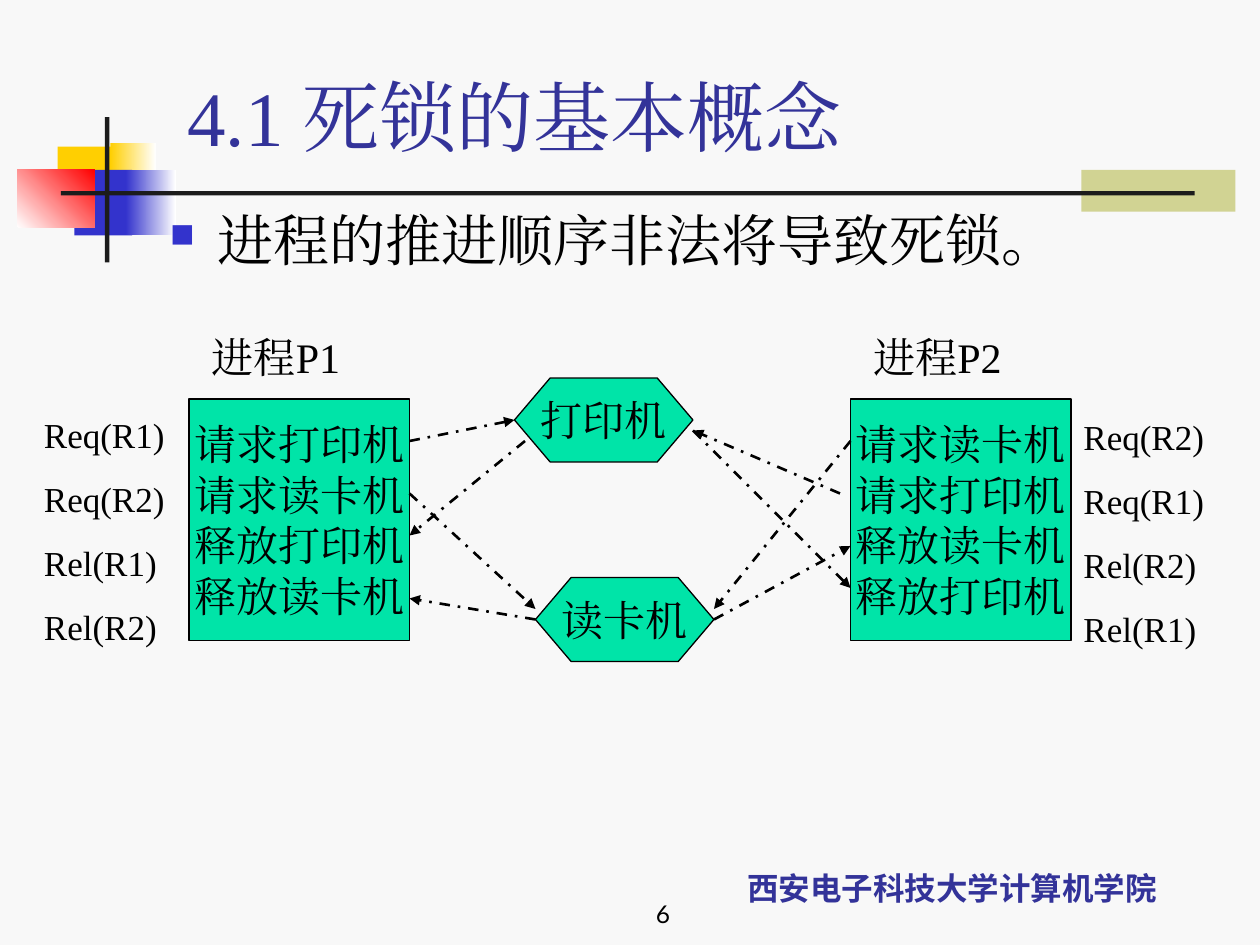
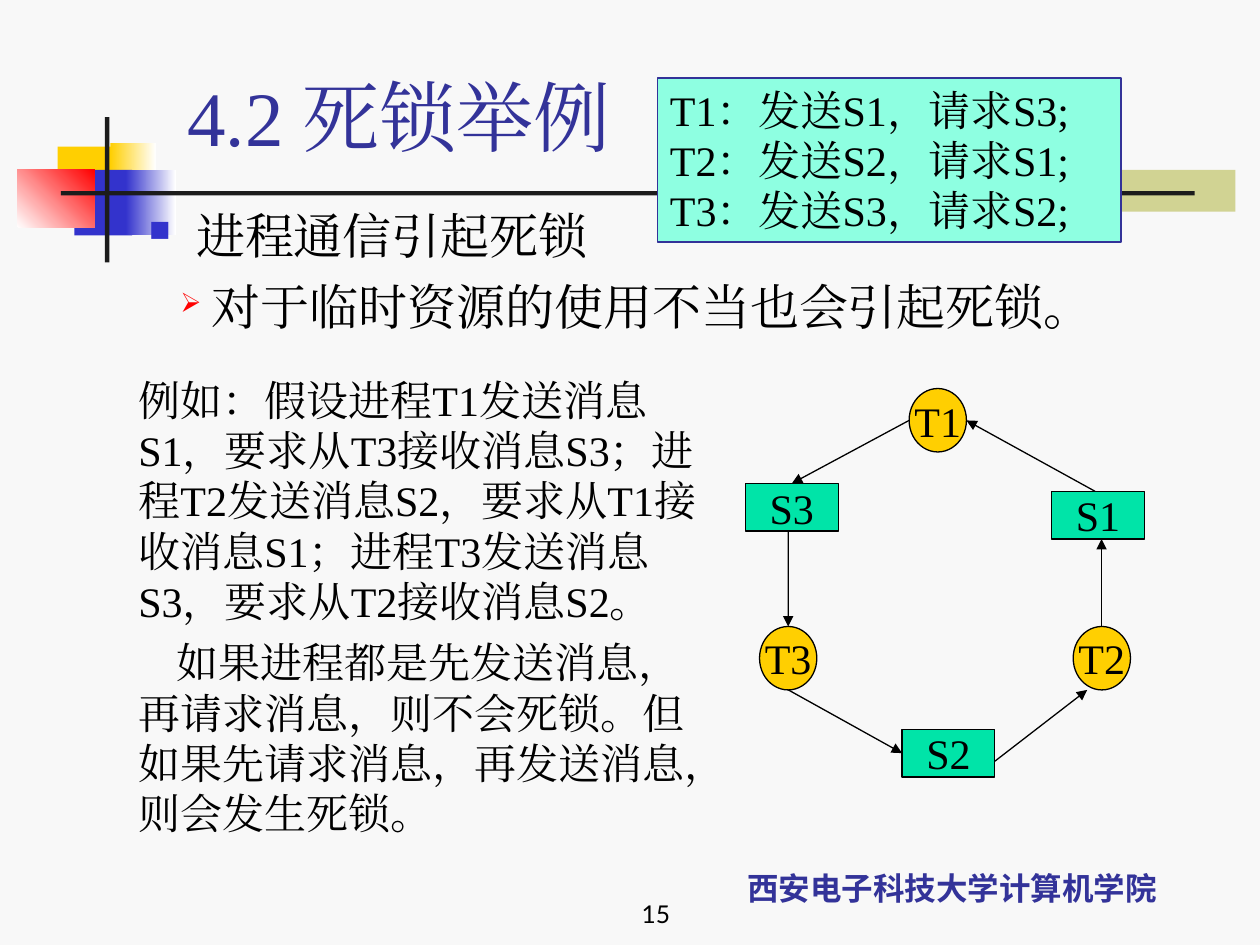
"""Build two lecture slides on deadlock: process order and process communication."""
from dataclasses import dataclass
from typing import Optional

from lxml import etree
from pptx import Presentation
from pptx.dml.color import RGBColor
from pptx.enum.dml import MSO_LINE
from pptx.enum.shapes import MSO_CONNECTOR, MSO_SHAPE
from pptx.enum.text import MSO_ANCHOR, PP_ALIGN
from pptx.oxml.ns import qn
from pptx.util import Pt

RECTANGLE = MSO_SHAPE.RECTANGLE
OVAL = MSO_SHAPE.OVAL
DEVICE = MSO_SHAPE.FLOWCHART_PREPARATION
STRAIGHT = MSO_CONNECTOR.STRAIGHT
DASH_DOT = MSO_LINE.DASH_DOT
TOP, MIDDLE, BOTTOM = MSO_ANCHOR.TOP, MSO_ANCHOR.MIDDLE, MSO_ANCHOR.BOTTOM
LEFT, CENTER, RIGHT = PP_ALIGN.LEFT, PP_ALIGN.CENTER, PP_ALIGN.RIGHT
SIDE_TOP, SIDE_LEFT, SIDE_RIGHT = 0, 1, 3

COLORS = {
    "background": "F8F8F8", "olive": "D1D393", "yellow": "FFCF01",
    "blue": "3333CC", "white": "FFFFFF", "red": "FF0000", "rule": "1C1C1C",
    "navy": "333399", "black": "000000", "green": "00E4A8", "mint": "8EFFE1",
}
SERIF, SANS, CHINESE = "Times New Roman", "Lato", "Noto Sans CJK SC"
LINE_HEIGHT = 1.2

Bounds = tuple[float, float, float, float]
Point = tuple[float, float]


@dataclass(frozen=True)
class Band:
    bounds: Bounds
    color: str
    end_color: Optional[str] = None
    angle: float = 0


@dataclass(frozen=True)
class TextStyle:
    size: float = 24
    font: str = SERIF
    color: str = "black"
    bold: bool = False
    align: PP_ALIGN = LEFT
    anchor: MSO_ANCHOR = TOP
    wrap: bool = True
    gap: float = 0


@dataclass(frozen=True)
class Bullet:
    symbol: str
    color: str
    percent: int
    margin: float
    hanging: float


@dataclass(frozen=True)
class Node:
    name: str
    bounds: Bounds
    lines: tuple[str, ...]
    kind: MSO_SHAPE = RECTANGLE
    fill: str = "green"


@dataclass(frozen=True)
class Arrow:
    start: Point
    end: Point
    start_join: Optional[tuple[str, int]] = None
    end_join: Optional[tuple[str, int]] = None


BANDS = (
    Band((618, 97, 88, 24), "olive"),
    Band((33, 83.75, 34.5, 37.5), "yellow"),
    Band((63, 81.5, 26, 37.5), "yellow", "white"),
    Band((42.5, 97, 33, 37.5), "blue"),
    Band((72, 97, 28.5, 37.5), "blue", "white"),
    Band((9.75, 96.75, 44.25, 33.25), "white", "red", 45),
    Band((60, 67, 2.5, 83), "rule"),
    Band((34.75, 109.25, 648, 2.5), "rule"),
)
TITLE = TextStyle(44, color="navy", anchor=BOTTOM)
FOOTER = TextStyle(18, CHINESE, "navy", True, CENTER, BOTTOM)
PAGE_NUMBER = TextStyle(14, SANS, align=RIGHT, anchor=BOTTOM)
NODE_TEXT = TextStyle(align=CENTER, anchor=MIDDLE, wrap=False)
LABEL = TextStyle()
STEPS = TextStyle(20, gap=12.5)
SQUARE = Bullet("■", "blue", 60, 27, 27)
ARROWHEAD = Bullet("➢", "red", 55, 36, 18)


def rgb(name: str) -> RGBColor:
    return RGBColor.from_string(COLORS[name])


def points(values: Bounds) -> list[Pt]:
    return [Pt(value) for value in values]


def write_text(shape, lines: tuple[str, ...], style: TextStyle):
    frame = shape.text_frame
    frame.word_wrap = style.wrap
    frame.vertical_anchor = style.anchor
    for index, line in enumerate(lines):
        paragraph = frame.paragraphs[0] if index == 0 else frame.add_paragraph()
        paragraph.alignment = style.align
        paragraph.line_spacing = Pt(style.size * LINE_HEIGHT)
        if index and style.gap:
            paragraph.space_before = Pt(style.gap)
        run = paragraph.add_run()
        run.text = line
        run.font.size = Pt(style.size)
        run.font.name = style.font
        run.font.bold = style.bold
        run.font.color.rgb = rgb(style.color)
        east_asian = etree.Element(qn("a:ea"), typeface=style.font)
        run.font._element.find(qn("a:latin")).addnext(east_asian)
    return frame


def add_text(slide, bounds: Bounds, lines: tuple[str, ...], style: TextStyle):
    return write_text(slide.shapes.add_textbox(*points(bounds)), lines, style)


def set_indent(paragraph, margin: float, first_line: float) -> None:
    properties = paragraph._p.get_or_add_pPr()
    properties.set("marL", str(int(Pt(margin))))
    properties.set("indent", str(int(Pt(first_line))))


def set_bullet(paragraph, bullet: Bullet) -> None:
    set_indent(paragraph, bullet.margin, -bullet.hanging)
    properties = paragraph._p.get_or_add_pPr()
    color = etree.SubElement(properties, qn("a:buClr"))
    etree.SubElement(color, qn("a:srgbClr"), val=COLORS[bullet.color])
    etree.SubElement(properties, qn("a:buSzPct"), val=str(bullet.percent * 1000))
    etree.SubElement(properties, qn("a:buChar"), char=bullet.symbol)


def add_band(slide, band: Band) -> None:
    shape = slide.shapes.add_shape(RECTANGLE, *points(band.bounds))
    shape.shadow.inherit = False
    shape.line.fill.background()
    if band.end_color is None:
        shape.fill.solid()
        shape.fill.fore_color.rgb = rgb(band.color)
        return
    shape.fill.gradient()
    shape.fill.gradient_angle = band.angle
    for stop, color in zip(shape.fill.gradient_stops, (band.color, band.end_color)):
        stop.color.rgb = rgb(color)


def add_node(slide, node: Node, style: TextStyle = NODE_TEXT,
             line: str = "black", width: float = 0.75):
    shape = slide.shapes.add_shape(node.kind, *points(node.bounds))
    shape.shadow.inherit = False
    shape.fill.solid()
    shape.fill.fore_color.rgb = rgb(node.fill)
    shape.line.color.rgb = rgb(line)
    shape.line.width = Pt(width)
    write_text(shape, node.lines, style)
    frame = shape.text_frame
    frame.margin_left = frame.margin_right = Pt(7.2)
    frame.margin_top = frame.margin_bottom = Pt(3.6)
    return shape


def add_arrow(slide, arrow: Arrow, shapes: dict, width: float, dash=None) -> None:
    connector = slide.shapes.add_connector(STRAIGHT, *points(arrow.start + arrow.end))
    if arrow.start_join:
        name, side = arrow.start_join
        connector.begin_connect(shapes[name], side)
    if arrow.end_join:
        name, side = arrow.end_join
        connector.end_connect(shapes[name], side)
    connector.line.color.rgb = rgb("black")
    connector.line.width = Pt(width)
    if dash is not None:
        connector.line.dash_style = dash
    etree.SubElement(connector.line._get_or_add_ln(), qn("a:tailEnd"), type="triangle")
    etree.SubElement(connector._element.spPr, qn("a:effectLst"))


def add_diagram(slide, nodes: tuple[Node, ...], arrows: tuple[Arrow, ...],
                width: float, dash=None) -> None:
    shapes = {node.name: add_node(slide, node) for node in nodes}
    for arrow in arrows:
        add_arrow(slide, arrow, shapes, width, dash)


def add_base_slide(presentation, title: str, number: str):
    slide = presentation.slides.add_slide(presentation.slide_layouts[6])
    slide.background.fill.solid()
    slide.background.fill.fore_color.rgb = rgb("background")
    for band in BANDS:
        add_band(slide, band)
    add_text(slide, (382, 479.5, 324, 42), ("西安电子科技大学计算机学院",), FOOTER)
    add_text(slide, (100, 36, 613.5, 60), (title,), TITLE)
    add_text(slide, (240, 498, 150, 36), (number,), PAGE_NUMBER)
    return slide


def build_order_slide(presentation) -> None:
    slide = add_base_slide(presentation, "4.1 死锁的基本概念", "6")
    body = add_text(slide, (90, 114, 612, 54), ("进程的推进顺序非法将导致死锁。",), TextStyle(32))
    set_bullet(body.paragraphs[0], SQUARE)

    nodes = (
        Node("P1", (108, 228, 126, 138),
             ("请求打印机", "请求读卡机", "释放打印机", "释放读卡机")),
        Node("P2", (486, 228, 126, 138),
             ("请求读卡机", "请求打印机", "释放读卡机", "释放打印机")),
        Node("printer", (294, 216, 102, 48), ("打印机",), DEVICE),
        Node("reader", (306, 330, 102, 48), ("读卡机",), DEVICE),
    )
    arrows = (
        Arrow((234, 252), (294, 240), end_join=("printer", SIDE_LEFT)),
        Arrow((300, 252), (234, 306)),
        Arrow((234, 282), (306, 348)),
        Arrow((306, 354), (234, 342), start_join=("reader", SIDE_LEFT)),
        Arrow((486, 252), (408, 348)),
        Arrow((396, 246), (486, 336)),
        Arrow((480, 282), (396, 246)),
        Arrow((408, 354), (486, 312), start_join=("reader", SIDE_RIGHT)),
    )
    add_diagram(slide, nodes, arrows, 1.5, DASH_DOT)
    for left, name in ((114, "进程P1"), (492, "进程P2")):
        add_text(slide, (left, 186, 108, 36), (name,), LABEL)
    add_text(slide, (18, 232.75, 96, 141),
             ("Req(R1)", "Req(R2)", "Rel(R1)", "Rel(R2)"), STEPS)
    add_text(slide, (612, 234, 96, 141),
             ("Req(R2)", "Req(R1)", "Rel(R2)", "Rel(R1)"), STEPS)


def build_message_slide(presentation) -> None:
    slide = add_base_slide(presentation, "4.2 死锁举例", "15")
    body = add_text(slide, (78, 114, 612, 102),
                    ("进程通信引起死锁", "对于临时资源的使用不当也会引起死锁。"),
                    TextStyle(28, gap=7))
    for paragraph, bullet in zip(body.paragraphs, (SQUARE, ARROWHEAD)):
        set_bullet(paragraph, bullet)

    messages = (("S1", 601, 280.75), ("S2", 515.5, 416.75), ("S3", 426, 276.25))
    processes = (("T1", 519.5, 222), ("T2", 613.25, 358), ("T3", 434, 358))
    nodes = tuple(Node(name, (left, top, 53, 27.25), (name,))
                  for name, left, top in messages)
    nodes += tuple(Node(name, (left, top, 32.75, 36.25), (name,), OVAL, "yellow")
                   for name, left, top in processes)
    arrows = (
        Arrow((629.5, 358), (629.5, 308)),
        Arrow((625.75, 280.75), (552.25, 240.25)),
        Arrow((519.5, 240.25), (454.5, 276.25), end_join=("S3", SIDE_TOP)),
        Arrow((450.5, 303.5), (450.5, 358), end_join=("T3", SIDE_TOP)),
        Arrow((450.5, 394.25), (515.5, 430.5), end_join=("S2", SIDE_LEFT)),
        Arrow((568.5, 435), (621.25, 394.25)),
    )
    add_diagram(slide, nodes, arrows, 0.75)

    example = add_text(slide, (36, 210.25, 378, 302), (
        "例如：假设进程T1发送消息S1，要求从T3接收消息S3；进程T2发送消息S2，"
        "要求从T1接收消息S1；进程T3发送消息S3，要求从T2接收消息S2。",
        "如果进程都是先发送消息，再请求消息，则不会死锁。"
        "但如果先请求消息，再发送消息，则会发生死锁。",
    ), TextStyle(gap=6))
    for paragraph, first_line in zip(example.paragraphs, (0, 22)):
        set_indent(paragraph, 36, first_line)

    callout = Node("callout", (375.75, 44.5, 265, 93.75),
                   ("T1：发送S1，请求S3;", "T2：发送S2，请求S1;", "T3：发送S3，请求S2;"),
                   fill="mint")
    add_node(slide, callout, TextStyle(wrap=False), "navy", 1)


def main() -> None:
    presentation = Presentation()
    presentation.slide_width, presentation.slide_height = Pt(720), Pt(540)
    build_order_slide(presentation)
    build_message_slide(presentation)
    presentation.save("out.pptx")


if __name__ == "__main__":
    main()
